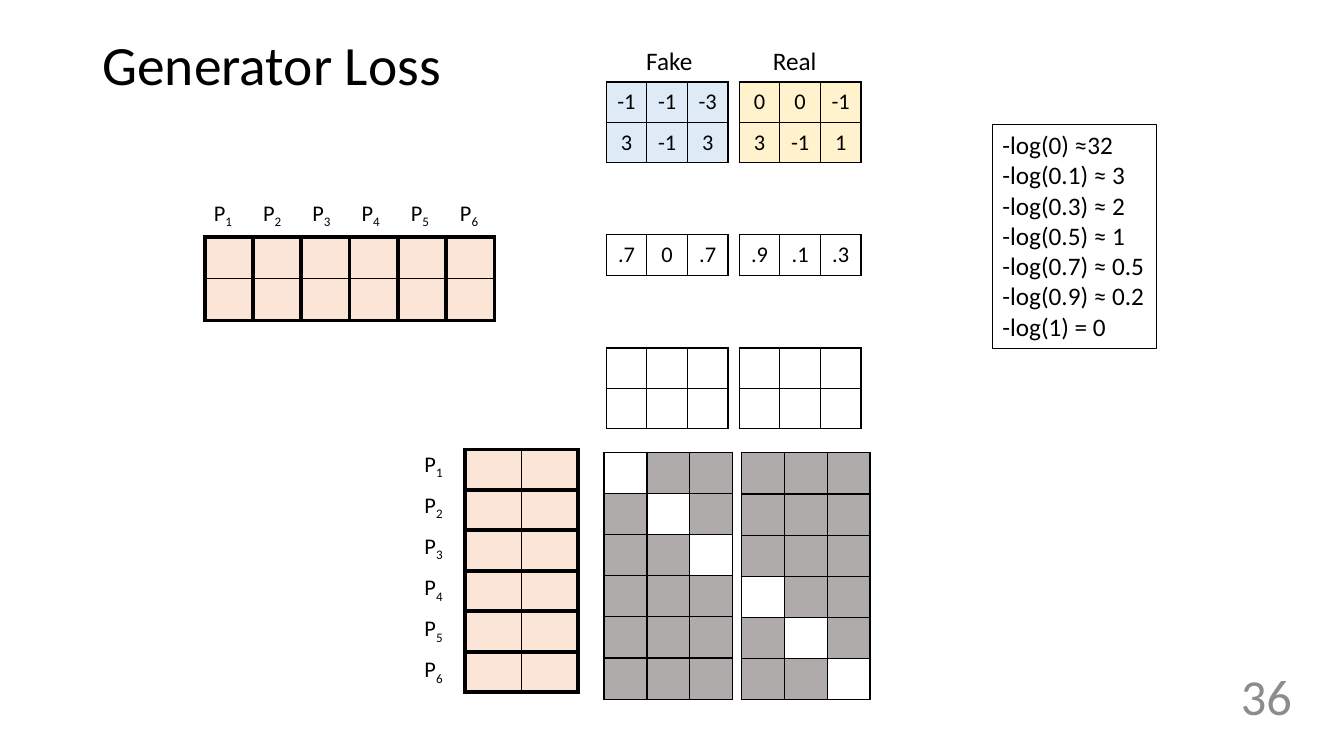
import pptx
import pptx.util
import pptx.dml.color
import pptx.enum.text
import lxml.etree

Pt = pptx.util.Pt
ALIGN = pptx.enum.text.PP_ALIGN
MIDDLE = pptx.enum.text.MSO_ANCHOR.MIDDLE
FIT = pptx.enum.text.MSO_AUTO_SIZE
BLACK, PEACH, GREY = "000000", "FBE5D6", "AFABAB"
BLUE, YELLOW = "DEEBF7", "FFF2CC"
THIN, THICK = 1, 3
LABELS = [f"P{n}" for n in range(1, 7)]


def paint(code):
    return pptx.dml.color.RGBColor.from_string(code)


def add_run(para, text, size, color=BLACK):
    run = para.add_run()
    run.text = text
    run.font.name = "Calibri"
    run.font.size = Pt(size)
    run.font.color.rgb = paint(color)
    return run


def add_text(slide, box, lines, size, color=BLACK, align=ALIGN.LEFT):
    shape = slide.shapes.add_textbox(*map(Pt, box))
    frame = shape.text_frame
    frame.word_wrap = False
    frame.auto_size = FIT.SHAPE_TO_FIT_TEXT
    for n, line in enumerate(lines):
        para = frame.add_paragraph() if n else frame.paragraphs[0]
        para.alignment = align
        add_run(para, line, size, color)
    return shape


def set_edges(cell, widths):
    """Draw left, right, top and bottom edges; a width of 0 hides an edge."""
    props = cell._tc.get_or_add_tcPr()
    space = props.nsmap["a"]

    def add(parent, tag, **attrs):
        return lxml.etree.SubElement(parent, f"{{{space}}}{tag}", **attrs)

    for side, width in zip("LRTB", widths):
        edge = add(props, "ln" + side, w=str(Pt(width)))
        if width:
            add(add(edge, "solidFill"), "srgbClr", val=BLACK)
        else:
            add(edge, "noFill")


def write_cell(cell, text):
    cell.vertical_anchor = MIDDLE
    cell.margin_left = cell.margin_right = Pt(6.6)
    cell.margin_top = cell.margin_bottom = Pt(3.3)
    para = cell.text_frame.paragraphs[0]
    para.alignment = ALIGN.CENTER
    para.font.size = Pt(16)
    if text.startswith("P"):
        add_run(para, "P", 16)
        low = add_run(para, text[1:], 16)
        low._r.get_or_add_rPr().set("baseline", "-25000")
    elif text:
        add_run(para, text, 16)


def add_grid(slide, box, rows, fill=None, edges=None, clear=()):
    """Fill a box with equal cells; those listed in clear stay unfilled."""
    left, top, width, height = box
    down, across = len(rows), len(rows[0])
    table = slide.shapes.add_table(down, across, *map(Pt, box)).table
    table.first_row = table.horz_banding = False
    for col in table.columns:
        col.width = Pt(width / across)
    for r, row in enumerate(rows):
        table.rows[r].height = Pt(height / down)
        for c, text in enumerate(row):
            cell = table.cell(r, c)
            set_edges(cell, edges(r, c) if edges else [THIN] * 4)
            if fill and (r, c) not in clear:
                cell.fill.solid()
                cell.fill.fore_color.rgb = paint(fill)
            else:
                cell.fill.background()
            write_cell(cell, text)


def blank(down, across):
    return [[""] * across for _ in range(down)]


def no_edge(r, c):
    return [0] * 4


def wide_edge(r, c):
    return [THICK, THICK, THIN if r else THICK, THICK if r else THIN]


def tall_edge(r, c):
    return [THIN if c else THICK, THICK if c else THIN, THICK, THICK]


def add_title(slide, box):
    title = slide.shapes.title
    title.left, title.top, title.width, title.height = map(Pt, box)
    frame = title.text_frame
    frame.auto_size = FIT.NONE
    frame.vertical_anchor = MIDDLE
    para = frame.paragraphs[0]
    para.alignment = ALIGN.LEFT
    para.line_spacing = 0.9
    add_run(para, "Generator Loss", 39.6)


def add_batch(slide, box, name, shift, fill, scores, odds):
    """Stack the name, scores, odds and blank gradients of one batch."""
    left, top, width, step = box
    add_text(slide, (left + shift, top - 29.5, 54, 28.8), [name], 18)
    add_grid(slide, (left, top, width, 2 * step), scores, fill)
    add_grid(slide, (left, top + 109.2, width, step), [odds])
    add_grid(slide, (left, top + 190, width, 2 * step), blank(2, 3))


def add_mask(slide, box, first):
    """Grey a 6 by 3 grid except for a diagonal that starts in row first."""
    clear = [(first + n, n) for n in range(3)]
    add_grid(slide, box, blank(6, 3), GREY, clear=clear)


def add_wide(slide, box):
    left, top, width, height = box
    add_grid(slide, box, blank(2, 6), PEACH, wide_edge)
    add_grid(slide, (left - 4.5, top - 30.2, 211, 29), [LABELS],
             edges=no_edge)


def add_tall(slide, box):
    left, top, width, height = box
    add_grid(slide, box, blank(6, 2), PEACH, tall_edge)
    add_grid(slide, (left - 38.2, top - 2.9, 31.7, 176.4),
             [[name] for name in LABELS], edges=no_edge)


def add_logs(slide, box):
    lines = ["-log(0) ≈32", "-log(0.1) ≈ 3", "-log(0.3) ≈ 2",
             "-log(0.5) ≈ 1", "-log(0.7) ≈ 0.5", "-log(0.9) ≈ 0.2",
             "-log(1) = 0"]
    shape = add_text(slide, box, lines, 18)
    shape.line.color.rgb = paint(BLACK)
    shape.line.width = Pt(0.75)


def add_number(slide, box):
    shape = add_text(slide, box, ["36"], 36, "8C8C8C", ALIGN.RIGHT)
    frame = shape.text_frame
    frame.auto_size = FIT.NONE
    frame.word_wrap = True
    frame.vertical_anchor = MIDDLE


def main():
    deck = pptx.Presentation()
    deck.slide_width, deck.slide_height = Pt(960), Pt(540)
    slide = deck.slides.add_slide(deck.slide_layouts[5])
    add_title(slide, (66, 28.8, 828, 39.6))
    add_batch(slide, (433, 58.5, 87, 28.8), "Fake", 21.5, BLUE,
              [["-1", "-1", "-3"], ["3", "-1", "3"]], [".7", "0", ".7"])
    add_batch(slide, (528, 58.5, 87, 28.8), "Real", 17, YELLOW,
              [["0", "0", "-1"], ["3", "-1", "1"]], [".9", ".1", ".3"])
    add_wide(slide, (146.2, 169.2, 207, 59.8))
    add_tall(slide, (332, 321, 81, 173.5))
    add_mask(slide, (431.5, 323, 92, 176.4), 0)
    add_mask(slide, (529.5, 323.5, 92, 176.4), 3)
    add_logs(slide, (709, 89, 117, 160))
    add_number(slide, (840, 466, 90, 62))
    deck.save("out.pptx")


if __name__ == "__main__":
    main()
